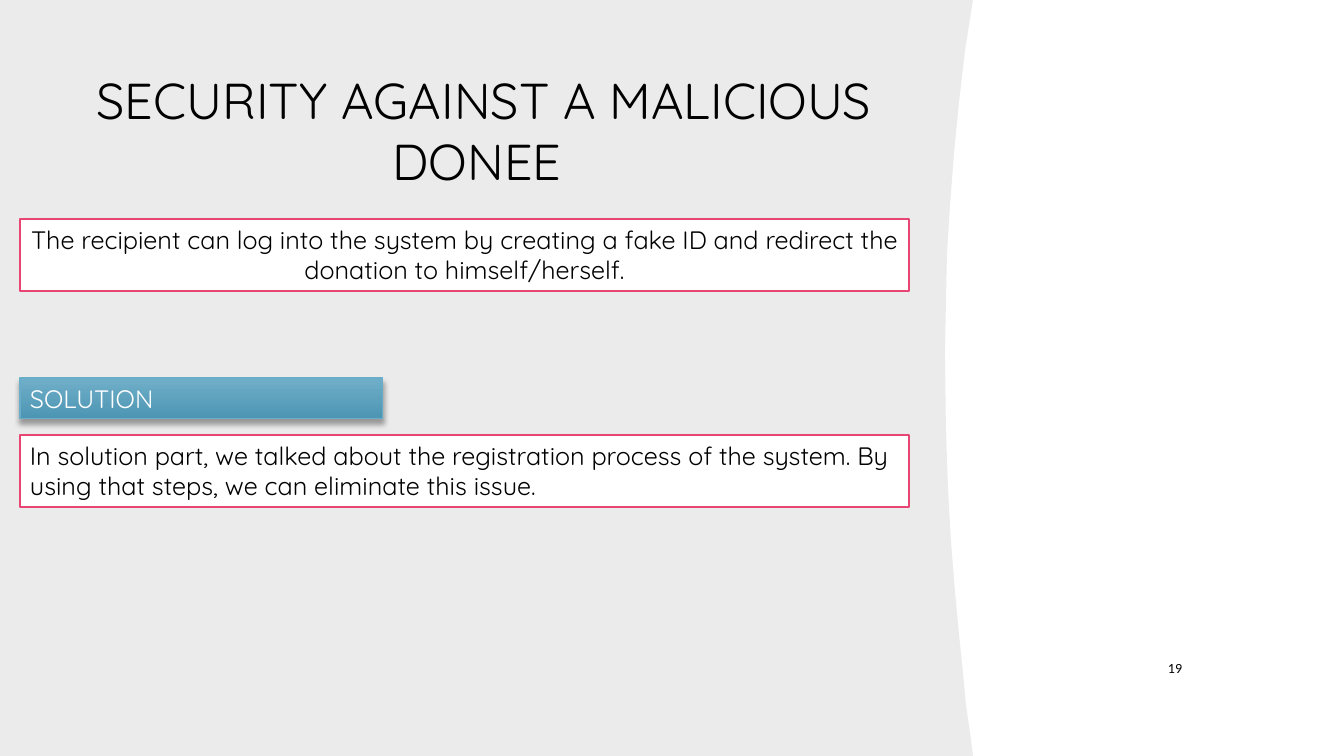
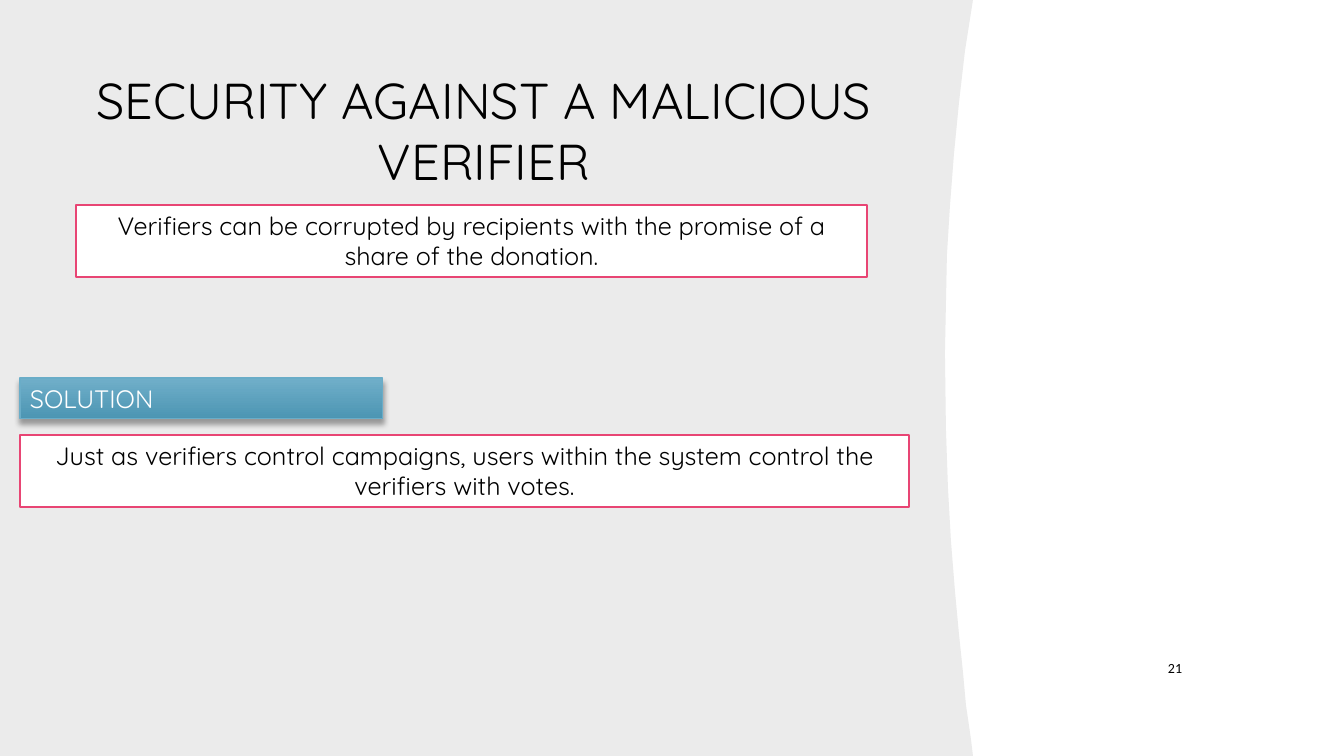
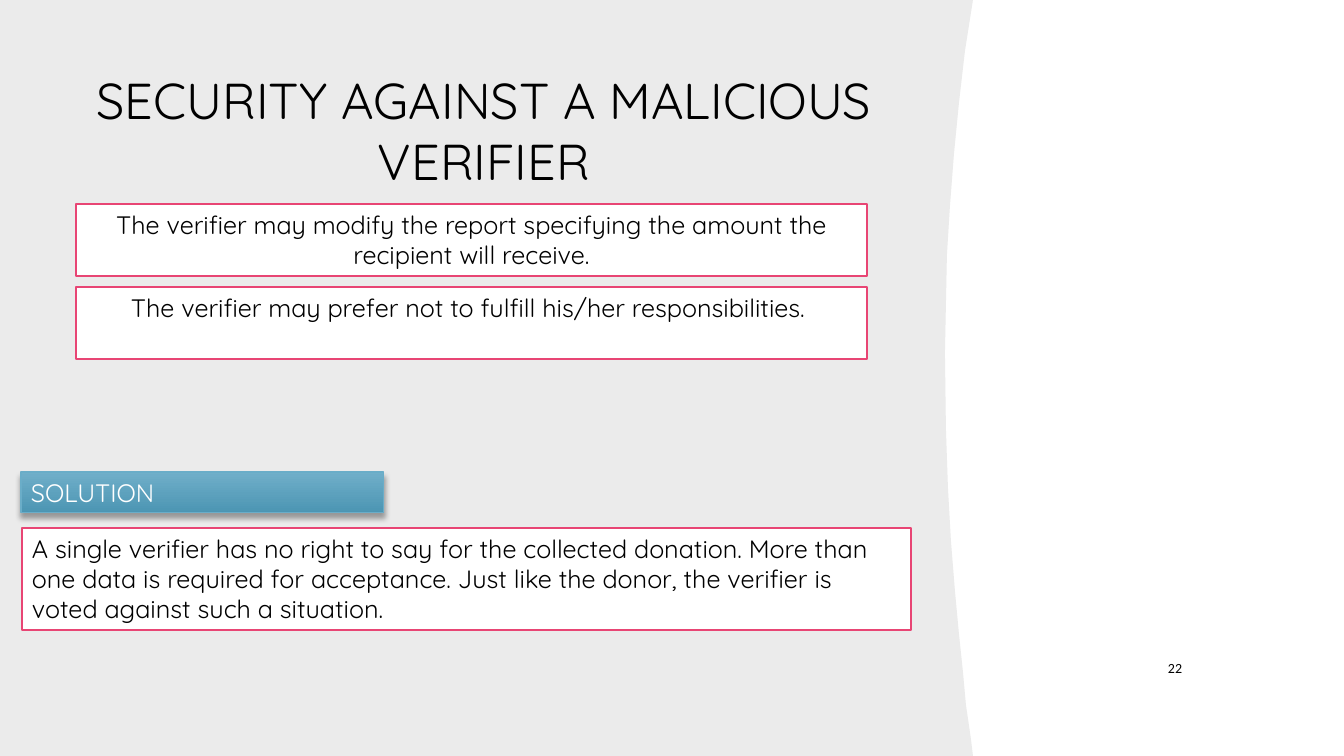
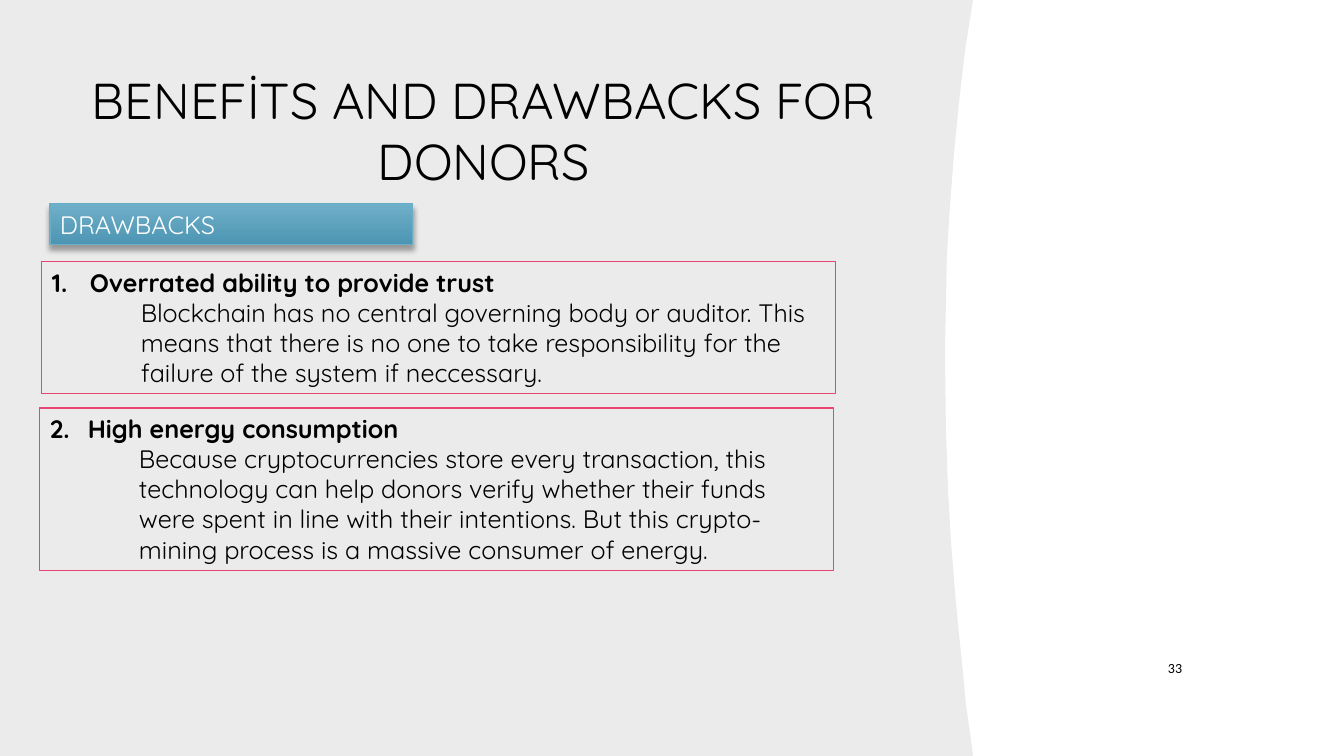
from dataclasses import dataclass
from typing import NamedTuple

from lxml.etree import SubElement
from pptx import Presentation
from pptx.dml.color import RGBColor
from pptx.enum.shapes import MSO_SHAPE
from pptx.enum.text import MSO_ANCHOR, PP_ALIGN
from pptx.oxml.ns import qn
from pptx.util import Emu, Pt

SCALE = 914400 / 100.8


def px(n: int) -> Emu:
    return Emu(round(n * SCALE))


@dataclass(frozen=True)
class Theme:
    font: str = "Quicksand"
    plain: str = "Calibri"
    black: RGBColor = RGBColor(0x00, 0x00, 0x00)
    white: RGBColor = RGBColor(0xFF, 0xFF, 0xFF)
    gray: RGBColor = RGBColor(0xEB, 0xEB, 0xEB)
    pink: RGBColor = RGBColor(0xE8, 0x45, 0x74)
    light: RGBColor = RGBColor(0x70, 0xAF, 0xC9)
    deep: RGBColor = RGBColor(0x4C, 0x95, 0xB3)
    edge: RGBColor = RGBColor(0x6A, 0xAD, 0xC8)
    title: int = 36
    body: int = 18
    number: int = 10
    thick: float = 1.5
    thin: float = 0.75


THEME = Theme()
WIDTH, HEIGHT = 1344, 756
CURVE = [
    (973, 0), (965, 51), (959, 103), (954, 154), (950, 206), (947, 255),
    (946, 304), (945, 353), (946, 429), (948, 488), (951, 541), (955, 591),
    (959, 634), (963, 672), (966, 705), (971, 739), (973, 756),
]
INDENT, NEST = 38, 89


class Box(NamedTuple):
    left: int
    top: int
    width: int
    height: int


TITLE = Box(76, 55, 816, 150)
NUMBER = Box(1132, 647, 60, 41)


@dataclass(frozen=True)
class Note:
    """A white, outlined statement."""
    box: Box
    text: str
    align: PP_ALIGN = PP_ALIGN.CENTER


@dataclass(frozen=True)
class Banner:
    left: int
    top: int
    text: str = "SOLUTION"


@dataclass(frozen=True)
class Point:
    """A numbered heading with its explanation."""
    box: Box
    rank: int
    head: str
    text: str


@dataclass(frozen=True)
class Page:
    number: int
    title: str
    items: list[Note | Banner | Point]


def wide(top: int) -> Box:
    return Box(20, top, 889, 72)


def inner(top: int) -> Box:
    return Box(76, top, 791, 72)


PAGES = [
    Page(19, "SECURITY AGAINST A MALICIOUS DONEE ", [
        Note(wide(219), "The recipient can log into the system by creating a fake ID "
             "and redirect the donation to himself/herself."),
        Note(wide(435), "In solution part, we talked about the registration process of "
             "the system. By using that steps, we can eliminate this issue.",
             PP_ALIGN.LEFT),
        Banner(20, 378),
    ]),
    Page(21, "SECURITY AGAINST A MALICIOUS VERIFIER", [
        Note(inner(205), "Verifiers can be corrupted by recipients with the promise of "
             "a share of the donation."),
        Banner(20, 378),
        Note(wide(435), "Just as verifiers control campaigns, users within the system "
             "control the verifiers with votes."),
    ]),
    Page(22, "SECURITY AGAINST A MALICIOUS VERIFIER", [
        Note(inner(204), "The verifier may modify the report specifying the amount the "
             "recipient will receive."),
        Banner(21, 472),
        Note(Box(22, 528, 889, 102), "A single verifier has no right to say for the "
             "collected donation. More than one data is required for acceptance. Just "
             "like the donor, the verifier is voted against such a situation.",
             PP_ALIGN.LEFT),
        Note(inner(287), "The verifier may prefer not to fulfill his/her "
             "responsibilities. "),
    ]),
    Page(33, "BENEFİTS AND DRAWBACKS FOR DONORS", [
        Point(Box(42, 262, 794, 132), 1, "Overrated ability to provide trust",
              "Blockchain has no central governing body or auditor. This means that "
              "there is no one to take responsibility for the failure of the system "
              "if neccessary."),
        Banner(50, 204, "DRAWBACKS"),
        Point(Box(40, 408, 794, 163), 2, "High energy consumption",
              "Because cryptocurrencies store every transaction, this technology can "
              "help donors verify whether their funds were spent in line with their "
              "intentions. But this crypto-mining process is a massive consumer of "
              "energy."),
    ]),
]


def write(para, text: str, size: int = THEME.body, color: RGBColor = THEME.black,
          font: str = THEME.font, bold: bool = False, align: PP_ALIGN = PP_ALIGN.LEFT) -> None:
    para.alignment = align
    run = para.add_run()
    run.text = text
    run.font.name, run.font.size, run.font.bold = font, Pt(size), bold
    run.font.color.rgb = color


def label(slide, box: Box, text: str, **style) -> None:
    frame = slide.shapes.add_textbox(*map(px, box)).text_frame
    frame.word_wrap = True
    frame.vertical_anchor = MSO_ANCHOR.MIDDLE
    write(frame.paragraphs[0], text, **style)


def panel(slide) -> None:
    build = slide.shapes.build_freeform(0, 0, SCALE)
    build.add_line_segments([*CURVE, (0, HEIGHT)], close=True)
    shape = build.convert_to_shape()
    shape.shadow.inherit = False
    shape.fill.solid()
    shape.fill.fore_color.rgb = THEME.gray
    shape.line.fill.background()


def frame_box(slide, box: Box, line: RGBColor, weight: float):
    shape = slide.shapes.add_shape(MSO_SHAPE.RECTANGLE, *map(px, box))
    shape.shadow.inherit = False
    shape.fill.background()
    shape.line.color.rgb = line
    shape.line.width = Pt(weight)
    shape.text_frame.word_wrap = True
    shape.text_frame.vertical_anchor = MSO_ANCHOR.TOP
    return shape


def draw_note(slide, note: Note) -> None:
    shape = frame_box(slide, note.box, THEME.pink, THEME.thick)
    shape.fill.solid()
    shape.fill.fore_color.rgb = THEME.white
    write(shape.text_frame.paragraphs[0], note.text, align=note.align)


def drop_shadow(shape) -> None:
    effects = shape.element.spPr.find(qn("a:effectLst"))
    shadow = SubElement(effects, qn("a:outerShdw"), blurRad=str(Pt(4)),
                        dist=str(Pt(3)), dir="5400000", rotWithShape="0")
    color = SubElement(shadow, qn("a:srgbClr"), val=str(THEME.black))
    SubElement(color, qn("a:alpha"), val="35000")


def draw_banner(slide, banner: Banner) -> None:
    box = Box(banner.left, banner.top, 363, 41)
    shape = frame_box(slide, box, THEME.edge, THEME.thin)
    shape.fill.gradient()
    shape.fill.gradient_angle = 270
    for stop, color, place in zip(shape.fill.gradient_stops, (THEME.light, THEME.deep), (0, 1)):
        stop.color.rgb = color
        stop.position = place
    drop_shadow(shape)
    write(shape.text_frame.paragraphs[0], banner.text, color=THEME.white)


def indent(para, left: int, first: int = 0):
    props = para._p.get_or_add_pPr()
    props.set("marL", str(px(left)))
    props.set("indent", str(px(first)))
    return props


def draw_point(slide, point: Point) -> None:
    frame = frame_box(slide, point.box, THEME.pink, THEME.thin).text_frame
    head, body = frame.paragraphs[0], frame.add_paragraph()
    props = indent(head, INDENT, -INDENT)
    SubElement(props, qn("a:buFont"), typeface=THEME.font)
    SubElement(props, qn("a:buAutoNum"), type="arabicPeriod", startAt=str(point.rank))
    write(head, point.head, bold=True)
    indent(body, NEST)
    write(body, point.text)


DRAW = {Note: draw_note, Banner: draw_banner, Point: draw_point}


def draw_page(deck, page: Page) -> None:
    slide = deck.slides.add_slide(deck.slide_layouts[6])
    slide.background.fill.solid()
    slide.background.fill.fore_color.rgb = THEME.white
    panel(slide)
    label(slide, TITLE, page.title, size=THEME.title, align=PP_ALIGN.CENTER)
    for item in page.items:
        DRAW[type(item)](slide, item)
    label(slide, NUMBER, str(page.number), size=THEME.number, font=THEME.plain,
          align=PP_ALIGN.RIGHT)


def main() -> None:
    deck = Presentation()
    deck.slide_width, deck.slide_height = px(WIDTH), px(HEIGHT)
    for page in PAGES:
        draw_page(deck, page)
    deck.save("out.pptx")


if __name__ == "__main__":
    main()
